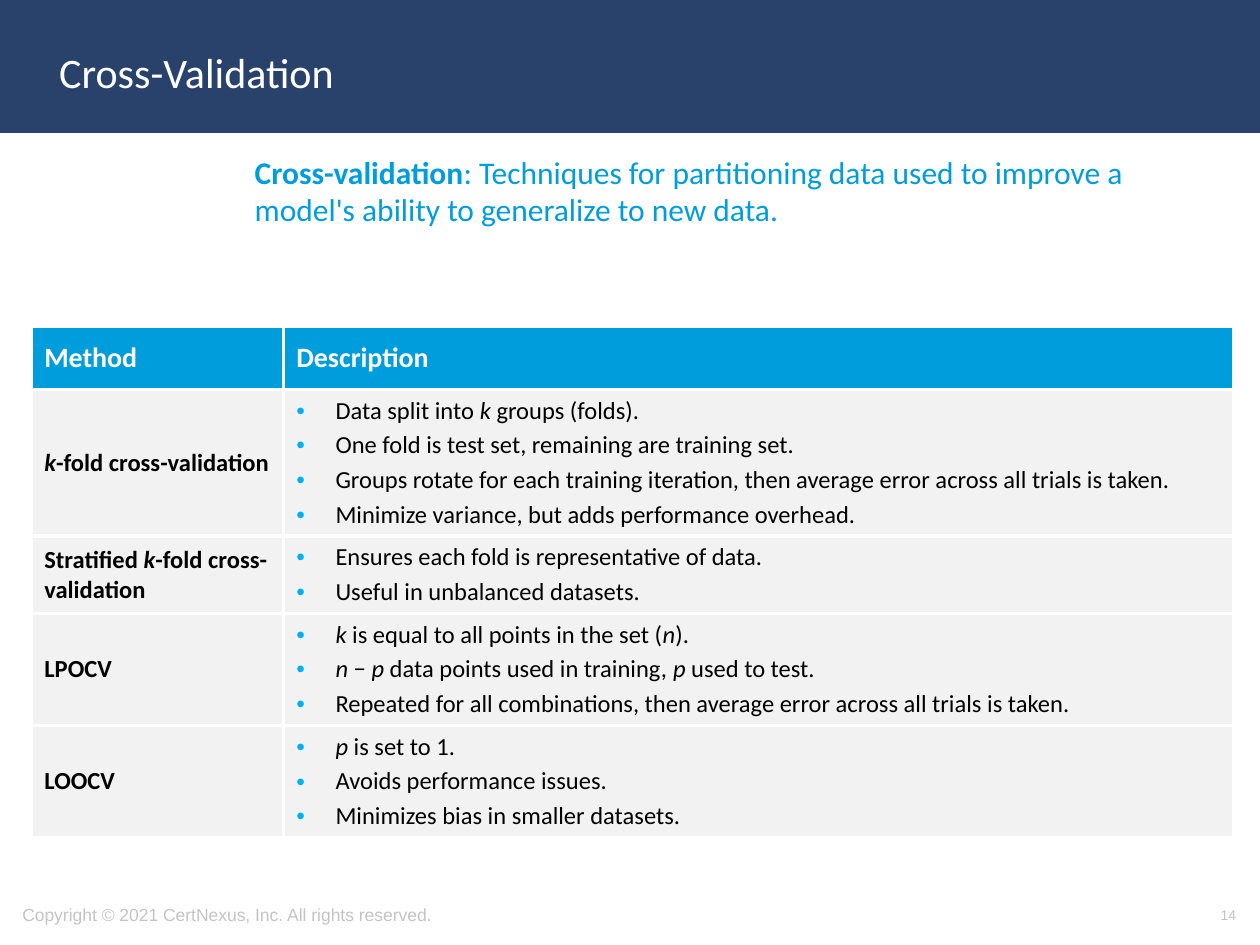
from dataclasses import dataclass

from lxml import etree
from pptx import Presentation
from pptx.dml.color import RGBColor
from pptx.enum.shapes import MSO_SHAPE
from pptx.enum.text import MSO_ANCHOR, MSO_AUTO_SIZE, PP_ALIGN
from pptx.oxml.ns import qn
from pptx.util import Cm, Pt

RECTANGLE = MSO_SHAPE.RECTANGLE
MIDDLE, TOP = MSO_ANCHOR.MIDDLE, MSO_ANCHOR.TOP
LEFT, RIGHT = PP_ALIGN.LEFT, PP_ALIGN.RIGHT
NO_AUTOFIT = MSO_AUTO_SIZE.NONE


@dataclass(frozen=True)
class Theme:
    navy: str = "28426C"
    blue: str = "009DDC"
    bullet: str = "00B0F0"
    stripe: str = "F2F2F2"
    grey: str = "C4C4C4"
    white: str = "FFFFFF"
    black: str = "000000"
    text_font: str = "Calibri"
    footer_font: str = "Arial"
    title_size: float = 24
    lead_size: float = 18
    header_size: float = 16
    cell_size: float = 14
    footer_size: float = 10
    number_size: float = 8
    border_width: float = 2.25
    bullet_gap: float = 2.8


def set_values(target, values):
    for name, value in values.items():
        setattr(target, name, value)


def add_fill(parent, color):
    fill = etree.SubElement(parent, qn("a:solidFill"))
    etree.SubElement(fill, qn("a:srgbClr"), val=color)


class SlideBuilder:
    """Holds the theme and the page that is being filled."""

    def __init__(self, page, theme):
        self.page = page
        self.theme = theme

    def place(self, shape, box):
        names = ("left", "top", "width", "height")
        set_values(shape, dict(zip(names, map(Cm, box))))

    def add_spans(self, para, text, size, color, font=None, bold=False, emphasis="italic"):
        """Add text as spans; parts between asterisks get the emphasis."""
        for index, part in enumerate(text.split("*")):
            if not part:
                continue
            span = para.add_run()
            span.text = part
            style = {"name": font or self.theme.text_font, "size": Pt(size), "bold": bold}
            if index % 2:
                style[emphasis] = True
            set_values(span.font, style)
            span.font.color.rgb = RGBColor.from_string(color)

    def bar(self, box, color):
        bar = self.page.shapes.add_shape(RECTANGLE, *map(Cm, box))
        bar.shadow.inherit = False
        bar.fill.solid()
        bar.fill.fore_color.rgb = RGBColor.from_string(color)
        bar.line.color.rgb = RGBColor.from_string(color)
        bar.line.width = Pt(2)
        self.page.shapes._spTree.insert(2, bar._element)  # behind the title

    def placeholder(self, index, box, text, size, color, anchor):
        shape = self.page.placeholders[index]
        self.place(shape, box)
        frame = shape.text_frame
        set_values(frame, {"auto_size": NO_AUTOFIT, "word_wrap": True,
                           "vertical_anchor": anchor})
        para = frame.paragraphs[0]
        set_values(para, {"alignment": LEFT, "space_before": Pt(0)})
        properties = para._p.get_or_add_pPr()
        properties.set("marL", "0")
        properties.set("indent", "0")
        etree.SubElement(properties, qn("a:buNone"))
        self.add_spans(para, text, size, color, emphasis="bold")

    def footer(self, box, text, size, alignment):
        frame = self.page.shapes.add_textbox(*map(Cm, box)).text_frame
        set_values(frame, {"word_wrap": True, "vertical_anchor": MIDDLE})
        para = frame.paragraphs[0]
        para.alignment = alignment
        self.add_spans(para, text, size, self.theme.grey, self.theme.footer_font)

    def add_bullet(self, para):
        properties = para._p.get_or_add_pPr()
        indent = Cm(0.79)
        properties.set("marL", str(indent))
        properties.set("indent", str(-indent))
        color = etree.SubElement(properties, qn("a:buClr"))
        etree.SubElement(color, qn("a:srgbClr"), val=self.theme.bullet)
        etree.SubElement(properties, qn("a:buFont"), typeface=self.theme.footer_font)
        etree.SubElement(properties, qn("a:buChar"), char="•")

    def style_cell(self, cell, color):
        cell.vertical_anchor = MIDDLE
        cell.fill.solid()
        cell.fill.fore_color.rgb = RGBColor.from_string(color)
        properties = cell._tc.get_or_add_tcPr()
        for position, side in enumerate(("lnL", "lnR", "lnT", "lnB")):
            border = etree.Element(qn(f"a:{side}"), w=str(Pt(self.theme.border_width)))
            add_fill(border, self.theme.white)
            properties.insert(position, border)

    def table(self, box, widths, heights, header, methods):
        theme = self.theme
        rows = len(methods) + 1
        table = self.page.shapes.add_table(rows, len(widths), *map(Cm, box)).table
        for column, width in zip(table.columns, widths):
            column.width = Cm(width)
        for row, height in zip(table.rows, heights):
            row.height = Cm(height)
        for column, text in enumerate(header):
            cell = table.cell(0, column)
            self.style_cell(cell, theme.blue)
            self.add_spans(cell.text_frame.paragraphs[0], text, theme.header_size,
                           theme.white, bold=True)
        for row, (method, points) in enumerate(methods, start=1):
            name, description = table.cell(row, 0), table.cell(row, 1)
            for cell in (name, description):
                self.style_cell(cell, theme.stripe)
            self.add_spans(name.text_frame.paragraphs[0], method, theme.cell_size,
                           theme.black, bold=True)
            frame = description.text_frame
            for index, point in enumerate(points):
                para = frame.add_paragraph() if index else frame.paragraphs[0]
                self.add_bullet(para)
                if index:
                    para.space_before = Pt(theme.bullet_gap)
                self.add_spans(para, point, theme.cell_size, theme.black)


METHODS = [
    ("*k*-fold cross-validation", [
        "Data split into *k* groups (folds).",
        "One fold is test set, remaining are training set.",
        "Groups rotate for each training iteration, then average error across all trials is taken.",
        "Minimize variance, but adds performance overhead.",
    ]),
    ("Stratified *k*-fold cross-validation", [
        "Ensures each fold is representative of data.",
        "Useful in unbalanced datasets.",
    ]),
    ("LPOCV", [
        "*k* is equal to all points in the set (*n*).",
        "*n* − *p* data points used in training, *p* used to test.",
        "Repeated for all combinations, then average error across all trials is taken.",
    ]),
    ("LOOCV", [
        "*p* is set to 1.",
        "Avoids performance issues.",
        "Minimizes bias in smaller datasets.",
    ]),
]


def main():
    deck = Presentation()
    set_values(deck, {"slide_width": Cm(25.4), "slide_height": Cm(19.05)})
    theme = Theme()
    builder = SlideBuilder(deck.slides.add_slide(deck.slide_layouts[1]), theme)
    builder.bar((0, 0, 25.4, 2.64), theme.navy)
    builder.placeholder(0, (0.94, 0.28, 21.9, 2.34), "Cross-Validation",
                        theme.title_size, theme.white, MIDDLE)
    builder.placeholder(
        1, (4.88, 2.95, 19.25, 2.11),
        "*Cross-validation*: Techniques for partitioning data used to improve "
        "a model's ability to generalize to new data.",
        theme.lead_size, theme.blue, TOP)
    builder.table((0.64, 6.58, 24.23, 10.3), (5.08, 19.15),
                  (1.27, 2.95, 1.56, 2.26, 2.26), ("Method", "Description"), METHODS)
    builder.footer((0.2, 17.93, 13.39, 1.02),
                   "Copyright © 2021 CertNexus, Inc. All rights reserved.",
                   theme.footer_size, LEFT)
    builder.footer((19.25, 17.93, 5.92, 1.02), "14", theme.number_size, RIGHT)
    deck.save("out.pptx")


if __name__ == "__main__":
    main()
